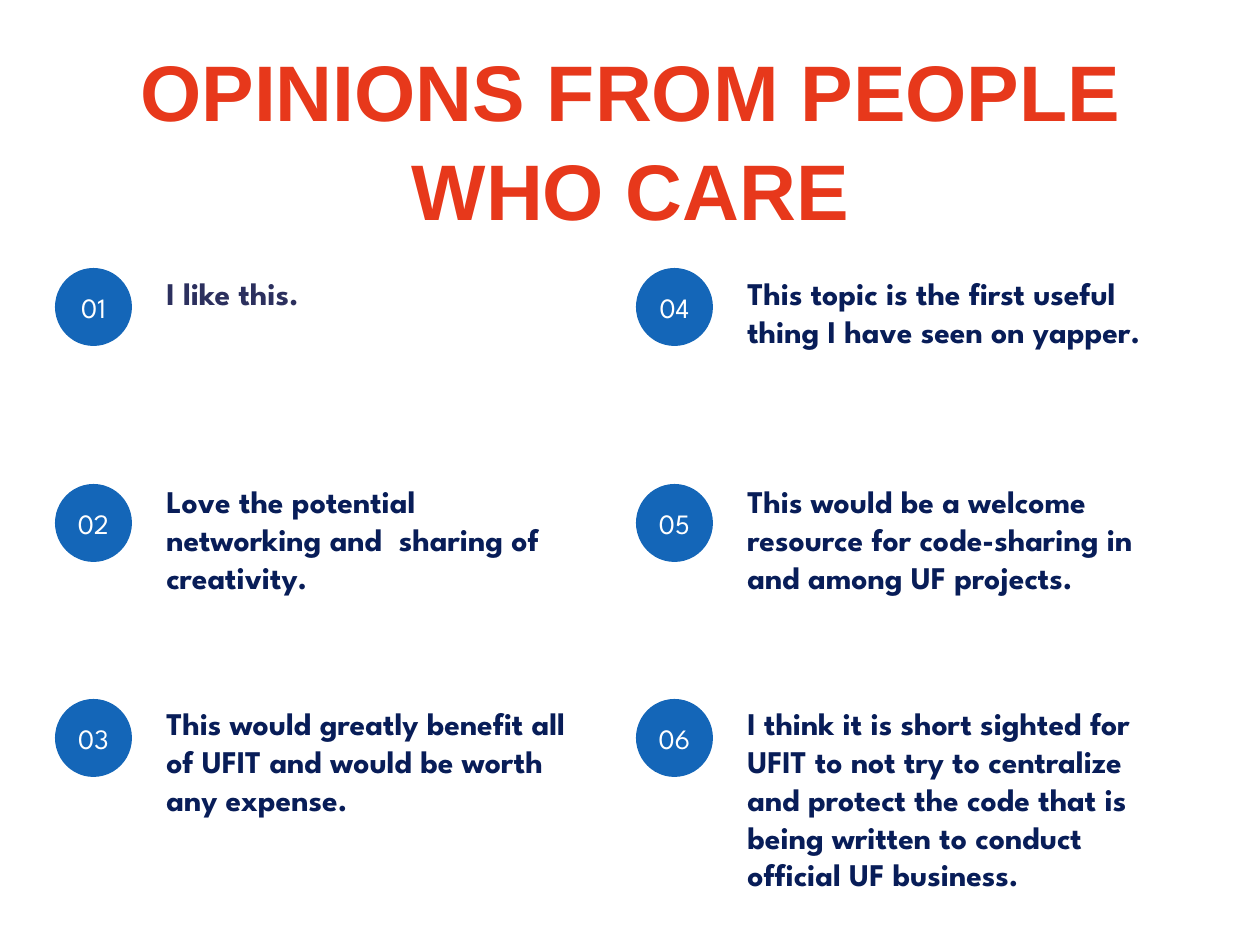
import pptx
import pptx.util
import pptx.dml.color
import pptx.enum.shapes
import pptx.enum.text

SCALE = 914400 / 126
FONT = "League Spartan"
NAVY = "081D58"
LEFT, STEP = 55, 581
DOTS = (268, 484, 699)
TOPS = (268, 476, 698)
QUOTES = (
    ("I like this.", 440, 50, "2C305E"),
    ("Love the potential networking and  sharing of creativity.", 426, 127, NAVY),
    ("This would greatly benefit all of UFIT and would be worth any expense.",
     426, 127, NAVY),
    ("This topic is the first useful thing I have seen on yapper.",
     431, 127, NAVY),
    ("This would be a welcome resource for code-sharing in and among UF projects.",
     431, 127, NAVY),
    ("I think it is short sighted for UFIT to not try to centralize and protect "
     "the code that is being written to conduct official UF business.",
     431, 204, NAVY),
)


def px(*vals):
    return [pptx.util.Emu(round(v * SCALE)) for v in vals]


def color(code):
    return pptx.dml.color.RGBColor.from_string(code)


def write(frame, text, font=FONT, size=18, ink=NAVY, bold=False,
          align="LEFT", anchor="TOP", space=None):
    frame.word_wrap = True
    frame.vertical_anchor = getattr(pptx.enum.text.MSO_ANCHOR, anchor)
    para = frame.paragraphs[0]
    para.alignment = getattr(pptx.enum.text.PP_ALIGN, align)
    para.line_spacing = space
    run = para.add_run()
    run.text = text
    run.font.name = font
    run.font.size = pptx.util.Pt(size)
    run.font.bold = bold
    run.font.color.rgb = color(ink)


class Deck:
    """Hold the style and the current slide."""

    def __init__(self):
        self.show = pptx.Presentation()
        self.show.slide_width, self.show.slide_height = px(1260, 945)
        self.slide = self.show.slides.add_slide(self.show.slide_layouts[5])
        self.fill = "1466B8"

    def title(self, text, *box):
        shape = self.slide.shapes.title
        shape.left, shape.top, shape.width, shape.height = px(*box)
        shape.text_frame.auto_size = pptx.enum.text.MSO_AUTO_SIZE.NONE
        write(shape.text_frame, text, font="Arial", size=45, ink="E7381B",
              bold=True, align="CENTER", anchor="MIDDLE", space=1.05)

    def dot(self, text, *box):
        kind = pptx.enum.shapes.MSO_SHAPE.OVAL
        shape = self.slide.shapes.add_shape(kind, *px(*box))
        shape.shadow.inherit = False
        shape.fill.solid()
        shape.fill.fore_color.rgb = color(self.fill)
        shape.line.fill.background()
        frame = shape.text_frame
        frame.margin_left = frame.margin_right = 0
        write(frame, text, size=16, ink="FFFFFF", align="CENTER",
              anchor="MIDDLE")

    def quote(self, text, ink, *box):
        frame = self.slide.shapes.add_textbox(*px(*box)).text_frame
        frame.auto_size = pptx.enum.text.MSO_AUTO_SIZE.SHAPE_TO_FIT_TEXT
        write(frame, text, ink=ink, bold=True)


def main():
    deck = Deck()
    deck.title("OPINIONS FROM PEOPLE WHO CARE", 53, 53, 1155, 168)
    for i, (text, wide, high, ink) in enumerate(QUOTES):
        col, row = divmod(i, len(DOTS))
        x = LEFT + col * STEP
        deck.quote(text, ink, x + 99, TOPS[row], wide, high)
        deck.dot(f"{i + 1:02}", x, DOTS[row], 77, 78)
    deck.show.save("out.pptx")


if __name__ == "__main__":
    main()
